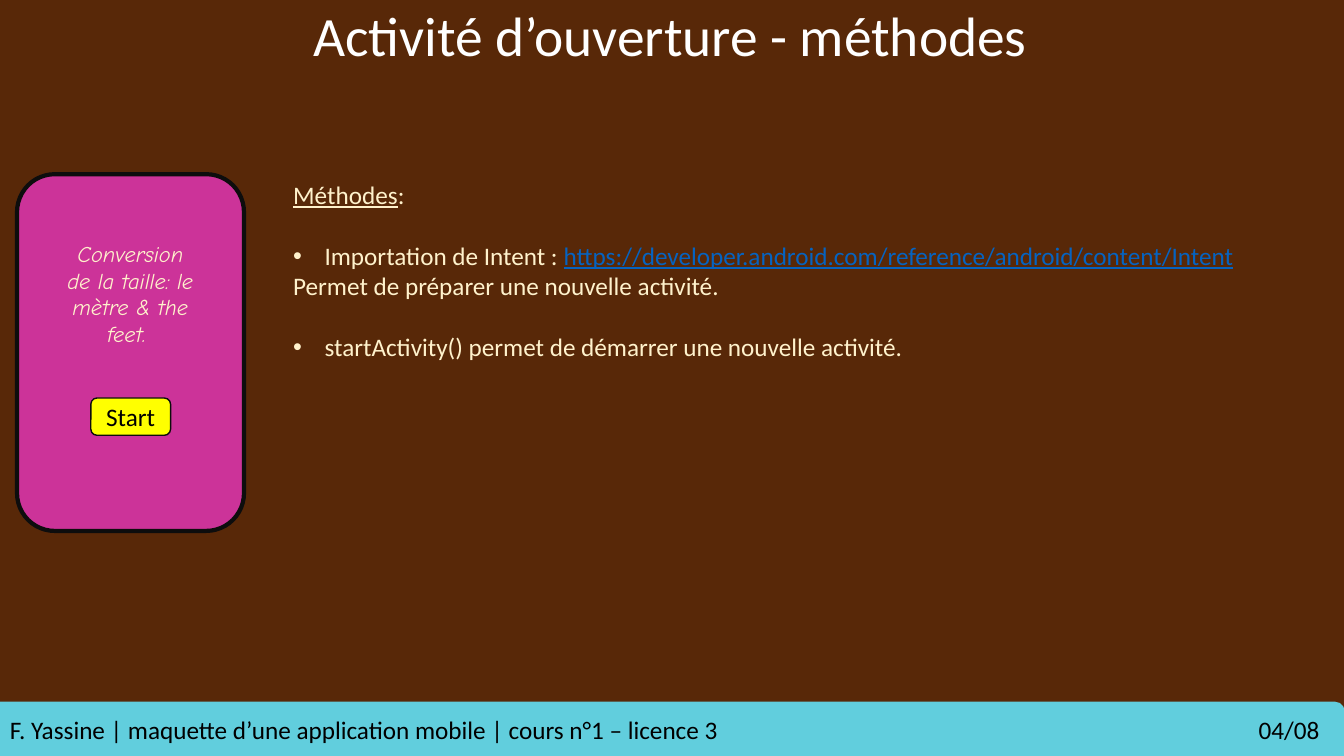
from lxml.etree import SubElement
from pptx import Presentation
from pptx.dml.color import RGBColor
from pptx.enum.shapes import MSO_SHAPE as Preset
from pptx.enum.text import MSO_ANCHOR as Anchor, PP_ALIGN as Align
from pptx.oxml.ns import qn
from pptx.util import Cm, Pt

COLOURS = {
    "background": "582808",
    "title": "FFFFFF",
    "body": "FFF2CC",
    "link": "0563C1",
    "phone": "CC3399",
    "outline": "0D0D0D",
    "button": "FFFF00",
    "footer": "61CEDD",
    "dark": "000000",
}

METHODS = [
    (False, 0, [("Méthodes", "body", True), (":", "body", False)]),
    (True, 22, [
        ("Importation de Intent : ", "body", False),
        ("https://developer.android.com/reference/android/content/Intent", "link", True),
    ]),
    (False, 0, [("Permet de préparer une nouvelle activité.", "body", False)]),
    (True, 22, [("startActivity() permet de démarrer une nouvelle activité.", "body", False)]),
]


def colour(name):
    return RGBColor.from_string(COLOURS[name])


def style_font(font, size, tone, face="Calibri"):
    font.name = face
    font.size = Pt(size)
    font.color.rgb = colour(tone)


def write_line(frame, text, size, tone, face="Calibri", align=Align.CENTER):
    frame.word_wrap = True
    frame.text = text
    line = frame.paragraphs[0]
    line.alignment = align
    style_font(line.runs[0].font, size, tone, face)
    return line


def add_panel(shapes, preset, box, fill, outline, width):
    panel = shapes.add_shape(preset, *map(Cm, box))
    panel.shadow.inherit = False
    panel.fill.solid()
    panel.fill.fore_color.rgb = colour(fill)
    panel.line.color.rgb = colour(outline)
    panel.line.width = Pt(width)
    panel.text_frame.vertical_anchor = Anchor.MIDDLE
    return panel


def add_title(shapes):
    frame = shapes.add_textbox(Cm(2.29), Cm(0.2), Cm(29.21), Cm(1.65)).text_frame
    frame.vertical_anchor = Anchor.MIDDLE
    write_line(frame, "Activité d’ouverture - méthodes", 39.6, "title").line_spacing = 0.8


def add_bullet(paragraph):
    properties = paragraph._p.get_or_add_pPr()
    properties.set("marL", str(Cm(0.79)))
    properties.set("indent", str(-Cm(0.79)))
    SubElement(properties, qn("a:buFont"), typeface="Arial")
    SubElement(properties, qn("a:buChar"), char="•")


def add_methods(shapes):
    frame = shapes.add_textbox(Cm(7.14), Cm(4.39), Cm(25.55), Cm(4.88)).text_frame
    frame.word_wrap = True
    for index, (bulleted, gap, parts) in enumerate(METHODS):
        paragraph = frame.add_paragraph() if index else frame.paragraphs[0]
        if bulleted:
            add_bullet(paragraph)
        paragraph.space_before = Pt(gap)
        for text, tone, underlined in parts:
            run = paragraph.add_run()
            run.text = text
            style_font(run.font, 18, tone)
            run.font.underline = underlined


def add_phone(shapes):
    phone = shapes.add_group_shape().shapes
    add_panel(phone, Preset.ROUNDED_RECTANGLE, (0.43, 4.39, 5.72, 8.99), "phone", "outline", 3)
    tagline = phone.add_textbox(Cm(1.42), Cm(5.92), Cm(3.73), Cm(3)).text_frame
    slogan = write_line(tagline, "Conversion de la taille: le mètre & the feet. ", 16, "body", "Comic Neue")
    slogan.runs[0].font.italic = True
    start = add_panel(phone, Preset.ROUNDED_RECTANGLE, (2.29, 10.03, 2.01, 0.94), "button", "outline", 1)
    write_line(start.text_frame, "Start", 18, "dark")


def add_footer(shapes):
    footer = add_panel(shapes, Preset.ROUND_1_RECTANGLE, (0, 17.7, 33.87, 1.35), "footer", "footer", 1)
    credit = "F. Yassine | maquette d’une application mobile | cours n°1 – licence 3\t04/08"
    line = write_line(footer.text_frame, credit, 18, "dark", align=Align.LEFT)
    tabs = SubElement(line._p.get_or_add_pPr(), qn("a:tabLst"))
    SubElement(tabs, qn("a:tab"), pos=str(Cm(33)), algn="r")


def main():
    deck = Presentation()
    deck.slide_width, deck.slide_height = Cm(33.87), Cm(19.05)
    slide = deck.slides.add_slide(deck.slide_layouts[6])
    slide.background.fill.solid()
    slide.background.fill.fore_color.rgb = colour("background")
    for add_part in (add_methods, add_title, add_phone, add_footer):
        add_part(slide.shapes)
    deck.save("out.pptx")


if __name__ == "__main__":
    main()
